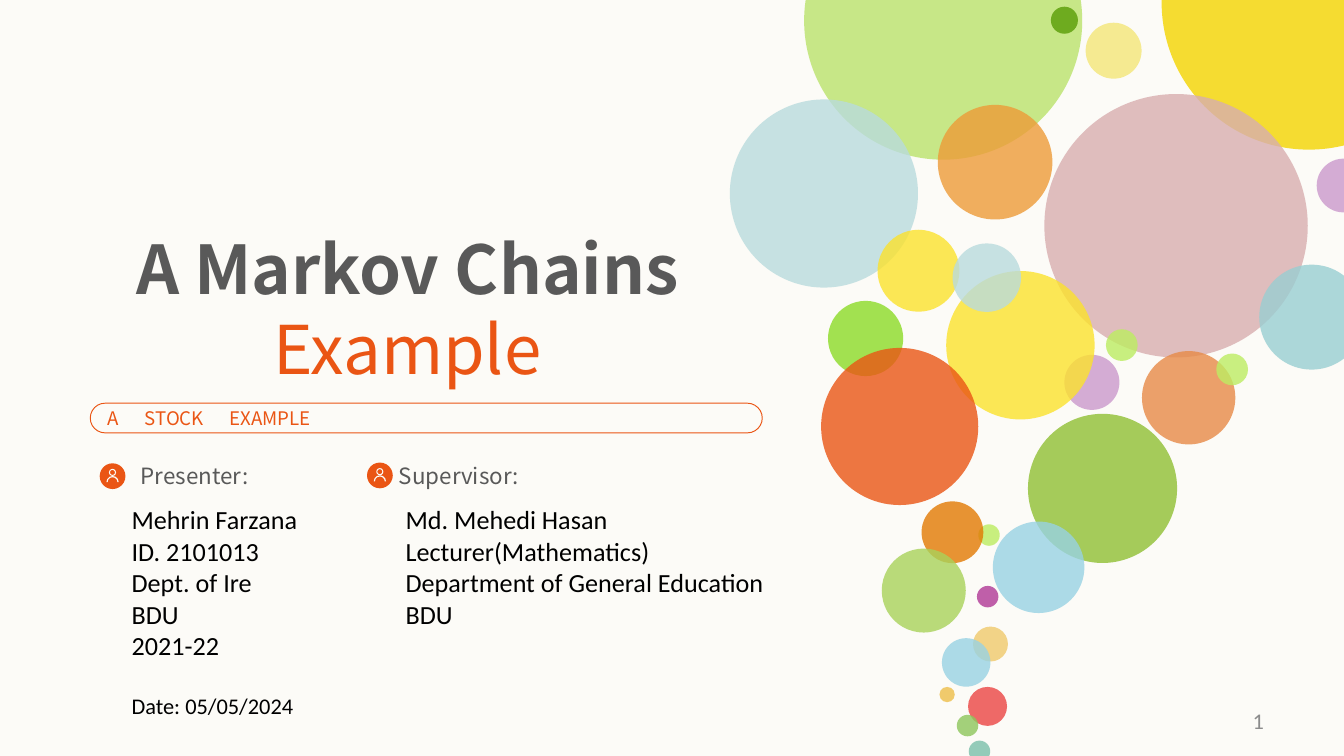
from lxml import etree
from pptx import Presentation
from pptx.dml.color import RGBColor
from pptx.enum.shapes import MSO_SHAPE
from pptx.enum.text import MSO_ANCHOR, MSO_AUTO_SIZE, PP_ALIGN
from pptx.oxml.ns import qn
from pptx.util import Pt

OVAL, PILL = MSO_SHAPE.OVAL, MSO_SHAPE.ROUNDED_RECTANGLE
RING, ARC = MSO_SHAPE.DONUT, MSO_SHAPE.BLOCK_ARC
TOP, MID = MSO_ANCHOR.TOP, MSO_ANCHOR.MIDDLE
LEFT, CENTER, RIGHT = PP_ALIGN.LEFT, PP_ALIGN.CENTER, PP_ALIGN.RIGHT
SANS, BODY = "Noto Sans CJK SC", "Calibri"
PAPER, ACCENT, GREY, BLACK, PALE = "FCFBF7", "EA5514", "595959", "000000", "8C8C8C"

# Content
TITLE = [("A Markov Chains ", GREY, True), ("Example", ACCENT, False)]
TAGS = "A\tSTOCK\tEXAMPLE"
STOPS = 19.8, 65.2
LABELS = [("Presenter:", 68.4, 72), ("Supervisor:", 206.6, 78.5)]
ICONS = [(53.4, 248.2), (196.6, 247.8)]
TALKER = ["Mehrin Farzana", "ID. 2101013", "Dept. of Ire", "BDU", "2021-22"]
DATE = "Date: 05/05/2024"
GUIDE = ["Md. Mehedi Hasan", "Lecturer(Mathematics)",
         "Department of General Education", "BDU"]

# Bubbles, back to front: left, top, diameter, colour, opacity in percent
BUBBLES = [
    (430.8, -63.4, 149, "BAE36B", 80), (563, 3.6, 14.5, "6EAB1F", 100),
    (391, 53.3, 100.8, "B9DBDD", 80), (502.4, 56.2, 61.4, "ED9B38", 80),
    (581.6, 12.2, 30, "F5EA91", 100), (622.3, -77.6, 157.8, "F4D500", 80),
    (559.5, 50.4, 141.1, "D8AEAF", 80), (674.6, 141.8, 56.2, "99CED2", 80),
    (705.4, 85, 28.8, "CB99CC", 80), (611.8, 188.1, 50, "E78A47", 80),
    (550.7, 221.7, 79.9, "A5CB5A", 100), (651.6, 189.4, 17, "BDED63", 80),
    (592.5, 176.4, 17, "BCED61", 80), (570.2, 190.1, 29.5, "CB99CC", 80),
    (506.9, 145.2, 79.5, "FBE22D", 80), (470.1, 123.1, 43.9, "FBE22D", 80),
    (443.6, 161.2, 40.3, "8CDB27", 80), (524.1, 280.9, 11.5, "BCED60", 80),
    (523.4, 313.9, 11.5, "B03896", 80), (521.3, 335.7, 18.7, "F0CA6C", 80),
    (503.3, 368, 8.2, "F0CA6C", 100), (519, 396.8, 11.5, "7BBFAA", 80),
    (518.6, 368, 20.9, "EB4544", 80), (512.6, 383, 11.5, "8DC65B", 80),
    (504.6, 341.9, 26, "98D2E3", 80), (510.3, 130.4, 36.7, "B9DBDD", 80),
    (531.9, 279.4, 49, "98D2E3", 80), (493.7, 268.6, 33.1, "E27902", 80),
    (472.4, 293.9, 45, "A9D25A", 80), (439.9, 186.4, 84.2, ACCENT, 80),
]


def paint(fill, tint, solid=100):
    fill.solid()
    fill.fore_color.rgb = RGBColor.from_string(tint)
    if solid < 100:
        node = fill._xPr.find(qn("a:solidFill"))[0]
        etree.SubElement(node, qn("a:alpha"), val=str(solid * 1000))


def draw(owner, kind, x, y, w, h, tint=None, solid=100):
    shape = owner.add_shape(kind, Pt(x), Pt(y), Pt(w), Pt(h))
    shape.shadow.inherit = False
    shape.line.fill.background()
    if tint:
        paint(shape.fill, tint, solid)
    else:
        shape.fill.background()
    return shape


def write(para, text, size=14, font=BODY, tint=BLACK, bold=False, align=LEFT):
    para.alignment = align
    run = para.add_run()
    run.text = text
    run.font.size, run.font.name, run.font.bold = Pt(size), font, bold
    paint(run.font.fill, tint)


def box(shapes, x, y, w, h, lines, wrap=True, anchor=TOP, **style):
    frame = shapes.add_textbox(Pt(x), Pt(y), Pt(w), Pt(h)).text_frame
    frame.word_wrap, frame.vertical_anchor = wrap, anchor
    for i, line in enumerate(lines):
        para = frame.add_paragraph() if i else frame.paragraphs[0]
        write(para, line, **style)
    return frame


def icon(shapes, x, y):
    group = shapes.add_group_shape().shapes
    draw(group, OVAL, x, y, 13.8, 13.8, ACCENT)
    head = draw(group, RING, x + 5, y + 3, 3.8, 3.8, PAPER)
    head.adjustments[0] = 0.15
    body = draw(group, ARC, x + 3.6, y + 6.8, 6.6, 6.6, PAPER)
    body.adjustments[2] = 0.1


deck = Presentation()
deck.slide_width, deck.slide_height = Pt(720), Pt(405)
slide = deck.slides.add_slide(deck.slide_layouts[5])
shapes = slide.shapes
paint(slide.background.fill, PAPER)

# Bubbles
for x, y, size, tint, solid in BUBBLES:
    draw(shapes, OVAL, x, y, size, size, tint, solid)

# Title
title = shapes.title
title.left, title.top, title.width, title.height = Pt(31), Pt(118), Pt(374.4), Pt(94.3)
frame = title.text_frame
frame.word_wrap, frame.vertical_anchor = True, TOP
frame.auto_size = MSO_AUTO_SIZE.NONE
for text, tint, bold in TITLE:
    write(frame.paragraphs[0], text, size=36, font=SANS, tint=tint, bold=bold, align=CENTER)

# Tag bar
bar = draw(shapes, PILL, 48.4, 216, 360, 15.9)
bar.adjustments[0] = 0.5
paint(bar.line.fill, ACCENT)
bar.line.width = Pt(0.5)
bar.text_frame.vertical_anchor = MID
bar.text_frame.margin_top = bar.text_frame.margin_bottom = 0
para = bar.text_frame.paragraphs[0]
write(para, TAGS, size=10, font=SANS, tint=ACCENT)
tabs = etree.SubElement(para._p.get_or_add_pPr(), qn("a:tabLst"))
for stop in STOPS:
    etree.SubElement(tabs, qn("a:tab"), pos=str(Pt(stop)), algn="l")

# People
for x, y in ICONS:
    icon(shapes, x, y)
for text, x, w in LABELS:
    box(shapes, x, 244, w, 21.8, [text], wrap=False, size=12, font=SANS, tint=GREY)
left = box(shapes, 63.4, 266.4, 115, 124, TALKER)
date = left.add_paragraph()
date.space_before = Pt(17)
write(date, DATE, size=12)
box(shapes, 210.2, 266.4, 239, 75, GUIDE)

# Page number
box(shapes, 516.2, 375.4, 168, 21.6, ["1"], anchor=MID, size=12, tint=PALE, align=RIGHT)

deck.save("out.pptx")
